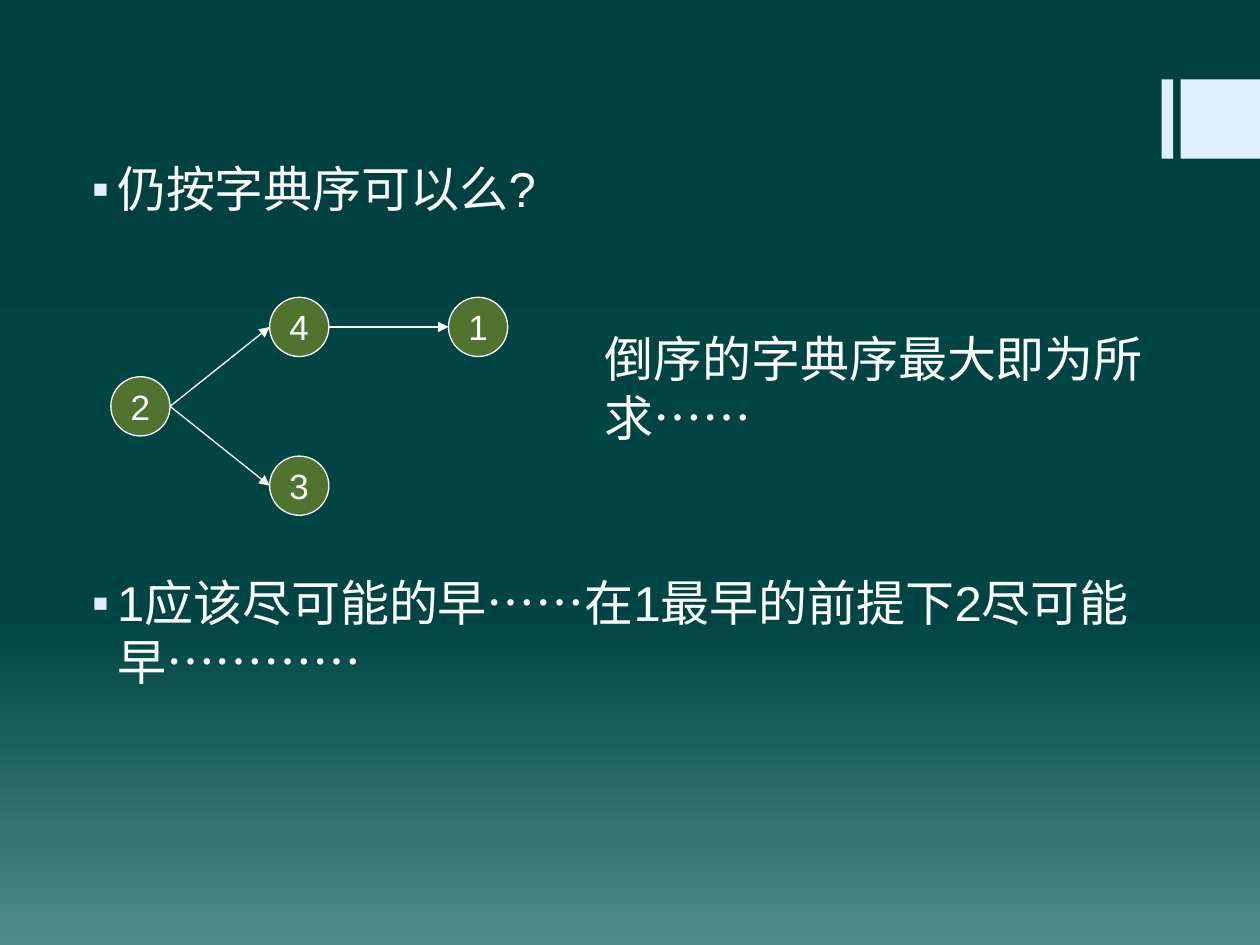
from copy import deepcopy

from lxml.etree import SubElement
from pptx import Presentation
from pptx.dml.color import RGBColor
from pptx.enum.lang import MSO_LANGUAGE_ID as Language
from pptx.enum.shapes import MSO_CONNECTOR as Connector, MSO_SHAPE as Shape
from pptx.enum.text import MSO_ANCHOR as Anchor, MSO_AUTO_SIZE as AutoSize, PP_ALIGN as Align
from pptx.oxml.ns import qn
from pptx.util import Inches, Pt

# Content
QUESTIONS = [  # text, space before in points
    ("仍按字典序可以么?", 0),
    ("1应该尽可能的早……在1最早的前提下2尽可能早…………", 203),
]
ANSWER = "倒序的字典序最大即为所求……"
NODES = {"2": (0.88, 2.99), "4": (2.14, 2.36), "1": (3.56, 2.36), "3": (2.14, 3.62)}
EDGES = [("2", "4"), ("4", "1"), ("2", "3")]
NODE_SIZE = 0.47
ACCENT_BARS = [(9.22, 0.09), (9.37, 0.63)]  # left, width
ACCENT_TOP = ACCENT_HEIGHT = 0.63

COLORS = {"text": "FFFFFF", "accent": "E1F0FF", "node": "50742F"}
BACKGROUND = [(0, "004040"), (0.65, "004444"), (1, "4F8B8B")]
BODY_FONT = {"name": "Arial", "size": Pt(28), "language_id": Language.SIMPLIFIED_CHINESE}
NODE_FONT = {"name": "Arial", "size": Pt(20)}


def color(name):
    return RGBColor.from_string(COLORS[name])


def write(para, text, font):
    span = para.add_run()
    span.text = text
    for key, value in font.items():
        setattr(span.font, key, value)
    span.font.color.rgb = color("text")


def add_filled(shapes, kind, box, fill):
    shape = shapes.add_shape(kind, *map(Inches, box))
    shape.shadow.inherit = False
    shape.fill.solid()
    shape.fill.fore_color.rgb = color(fill)
    shape.line.fill.background()
    return shape


def outline(shape):
    shape.line.color.rgb = color("text")
    shape.line.width = Pt(0.75)


def add_bullet(para):
    props = para._p.get_or_add_pPr()
    props.set("marL", str(Inches(0.25)))
    props.set("indent", str(Inches(-0.2)))
    tint = SubElement(props, qn("a:buClr"))
    SubElement(tint, qn("a:srgbClr"), val=COLORS["accent"])
    SubElement(props, qn("a:buFont"), typeface="Arial")
    SubElement(props, qn("a:buChar"), char="▪")


deck = Presentation()
deck.slide_width, deck.slide_height = Inches(10), Inches(7.5)
page = deck.slides.add_slide(deck.slide_layouts[1])
title, body = page.placeholders
title.element.getparent().remove(title.element)

# Background gradient, top to bottom
backdrop = page.background.fill
backdrop.gradient()
backdrop.gradient_angle = 270
stop_list = page.element.find(".//" + qn("a:gsLst"))
stop_list.append(deepcopy(stop_list[-1]))
for stop, (position, shade) in zip(backdrop.gradient_stops, BACKGROUND):
    stop.position = position
    stop.color.rgb = RGBColor.from_string(shade)

# Accent bars at the right edge
for left, width in ACCENT_BARS:
    add_filled(page.shapes, Shape.RECTANGLE, (left, ACCENT_TOP, width, ACCENT_HEIGHT), "accent")

# Bulleted questions
body.left, body.top, body.width, body.height = map(Inches, (0.58, 1.21, 8.5, 4.5))
frame = body.text_frame
frame.auto_size = AutoSize.NONE
for index, (text, gap) in enumerate(QUESTIONS):
    para = frame.add_paragraph() if index else frame.paragraphs[0]
    para.space_before = Pt(gap)
    add_bullet(para)
    write(para, text, BODY_FONT)

# Graph nodes
graph = page.shapes.add_group_shape()
for label, (left, top) in NODES.items():
    node = add_filled(graph.shapes, Shape.OVAL, (left, top, NODE_SIZE, NODE_SIZE), "node")
    outline(node)
    node.text_frame.word_wrap = False
    node.text_frame.vertical_anchor = Anchor.MIDDLE
    para = node.text_frame.paragraphs[0]
    para.alignment = Align.CENTER
    write(para, label, NODE_FONT)

# Arrows from the right side of one node to the left side of the next
for start, end in EDGES:
    (x1, y1), (x2, y2) = NODES[start], NODES[end]
    half = NODE_SIZE / 2
    ends = (x1 + NODE_SIZE, y1 + half, x2, y2 + half)
    arrow = graph.shapes.add_connector(Connector.STRAIGHT, *map(Inches, ends))
    outline(arrow)
    SubElement(arrow.line._get_or_add_ln(), qn("a:tailEnd"), type="triangle")
    SubElement(arrow.element.spPr, qn("a:effectLst"))

# Answer beside the graph
answer = page.shapes.add_textbox(*map(Inches, (4.7, 2.56, 5.33, 1.04)))
answer.text_frame.word_wrap = True
para = answer.text_frame.paragraphs[0]
para.space_before = Pt(14)
write(para, ANSWER, BODY_FONT)

deck.save("out.pptx")
